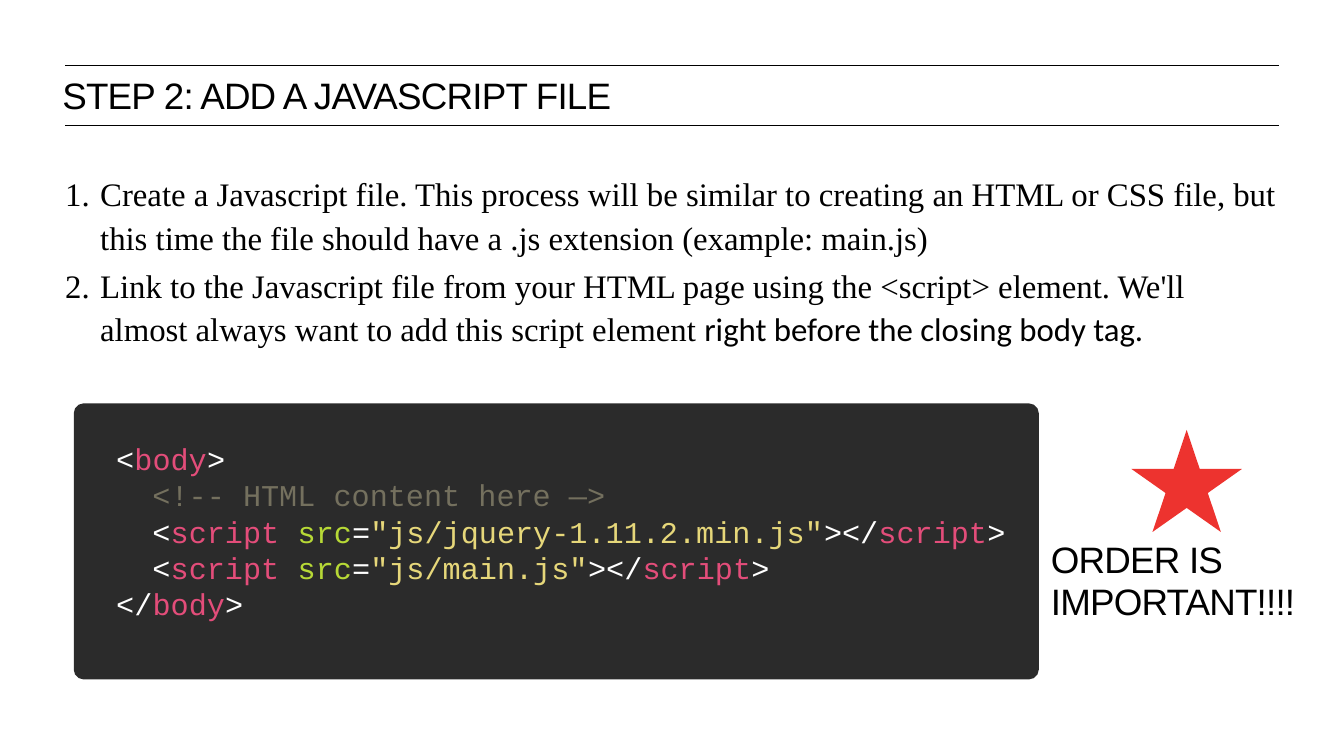
"""Build the slide "Step 2: Add a Javascript file"."""
from dataclasses import dataclass

from lxml import etree
from pptx import Presentation
from pptx.dml.color import RGBColor
from pptx.enum.shapes import MSO_CONNECTOR, MSO_SHAPE
from pptx.enum.text import MSO_ANCHOR
from pptx.oxml.ns import qn
from pptx.util import Inches, Pt

STRAIGHT = MSO_CONNECTOR.STRAIGHT
ROUNDED = MSO_SHAPE.ROUNDED_RECTANGLE
STAR = MSO_SHAPE.STAR_5_POINT
MIDDLE, TOP = MSO_ANCHOR.MIDDLE, MSO_ANCHOR.TOP


@dataclass(frozen=True)
class Theme:
    ink: str = "000000"
    panel: str = "2B2B2B"
    star: str = "ED332F"
    plain: str = "FFFFFF"
    tag: str = "E34D7A"
    comment: str = "74705E"
    attribute: str = "B7D936"
    string: str = "E6D77A"
    heading_font: str = "Arial"
    body_font: str = "Times New Roman"
    accent_font: str = "Calibri"
    code_font: str = "Courier New"
    heading_size: int = 28
    body_size: int = 25
    code_size: int = 23


theme = Theme()
deck = Presentation()
deck.slide_width, deck.slide_height = Inches(14.22), Inches(7.99)
page = deck.slides.add_slide(deck.slide_layouts[6])


def area(left, top, width, height):
    """Turn percentages of the slide into lengths."""
    across, down = deck.slide_width / 100, deck.slide_height / 100
    return [round(left * across), round(top * down), round(width * across), round(height * down)]


def add_text(place, anchor=TOP, inset=0):
    """Add a wrapping text box with equal insets."""
    frame = page.shapes.add_textbox(*area(*place)).text_frame
    frame.word_wrap = True
    frame.vertical_anchor = anchor
    frame.margin_left = frame.margin_right = Inches(inset)
    frame.margin_top = frame.margin_bottom = Inches(inset)
    return frame


MARGIN = 4.85
for height in (8.64, 16.65):
    left, y, right, _ = area(MARGIN, height, 100 - MARGIN, 0)
    rule = page.shapes.add_connector(STRAIGHT, left, y, right, y)
    rule.line.color.rgb = RGBColor.from_string(theme.ink)
    rule.line.width = Pt(1)
    etree.SubElement(rule._element.spPr, qn("a:effectLst"))

shapes = [
    (ROUNDED, (5.49, 53.44, 71.8, 36.55), theme.panel, [0.035]),
    (STAR, (84.18, 56.95, 8.23, 13.52), theme.star, []),
]
for kind, place, colour, adjustments in shapes:
    shape = page.shapes.add_shape(kind, *area(*place))
    shape.shadow.inherit = False
    shape.fill.solid()
    shape.fill.fore_color.rgb = RGBColor.from_string(colour)
    shape.line.fill.background()
    for index, value in enumerate(adjustments):
        shape.adjustments[index] = value

headings = [
    ("STEP 2: ADD A JAVASCRIPT FILE", (4.64, 9.89, 59.35, 5.63)),
    ("ORDER IS IMPORTANT!!!!", (78.2, 71.34, 21.8, 5.63)),
]
for text, place in headings:
    para = add_text(place).paragraphs[0]
    para.line_spacing = Pt(32)
    span = para.add_run()
    span.text = text
    span.font.name, span.font.size = theme.heading_font, Pt(theme.heading_size)
    span.font.color.rgb = RGBColor.from_string(theme.ink)
    span._r.get_or_add_rPr().set("spc", "-60")

steps = [
    [("Create a Javascript file. This process will be similar to creating an HTML or CSS file, "
      "but this time the file should have a .js extension (example: main.js)", theme.body_font)],
    [("Link to the Javascript file from your HTML page using the <script> element. "
      "We'll almost always want to add this script element ", theme.body_font),
     ("right before the closing body tag.", theme.accent_font)],
]
frame = add_text((MARGIN, 22.53, 100 - 2 * MARGIN, 24.66))
for number, step in enumerate(steps):
    para = frame.add_paragraph() if number else frame.paragraphs[0]
    para.line_spacing, para.space_before = 1.1, Pt(4)
    properties = para._p.get_or_add_pPr()
    properties.set("marL", str(Inches(0.37)))
    properties.set("indent", str(-Inches(0.37)))
    etree.SubElement(properties, qn("a:buAutoNum"), type="arabicPeriod")
    para.font.size = Pt(theme.body_size)
    para.font.color.rgb = RGBColor.from_string(theme.ink)
    for text, font in step:
        span = para.add_run()
        span.text = text
        span.font.name = font

script_lines = [
    (1, [("<", theme.plain), ("script ", theme.tag), ("src", theme.attribute), ("=", theme.plain),
         (f'"js/{name}.js"', theme.string), ("></", theme.plain), ("script", theme.tag),
         (">", theme.plain)])
    for name in ("jquery-1.11.2.min", "main")
]
code_lines = [
    (0, [("<", theme.plain), ("body", theme.tag), (">", theme.plain)]),
    (1, [("<!-- HTML content here —>", theme.comment)]),
    *script_lines,
    (0, [("</", theme.plain), ("body", theme.tag), (">", theme.plain)]),
]
CODE_INDENT = Pt(2 * 0.6 * theme.code_size)
frame = add_text((8.23, 56.32, 68.28, 28.04), MIDDLE, 0.06)
for number, (depth, tokens) in enumerate(code_lines):
    para = frame.add_paragraph() if number else frame.paragraphs[0]
    para._p.get_or_add_pPr().set("marL", str(depth * CODE_INDENT))
    para.font.name, para.font.size = theme.code_font, Pt(theme.code_size)
    for text, colour in tokens:
        span = para.add_run()
        span.text = text
        span.font.color.rgb = RGBColor.from_string(colour)

deck.save("out.pptx")
